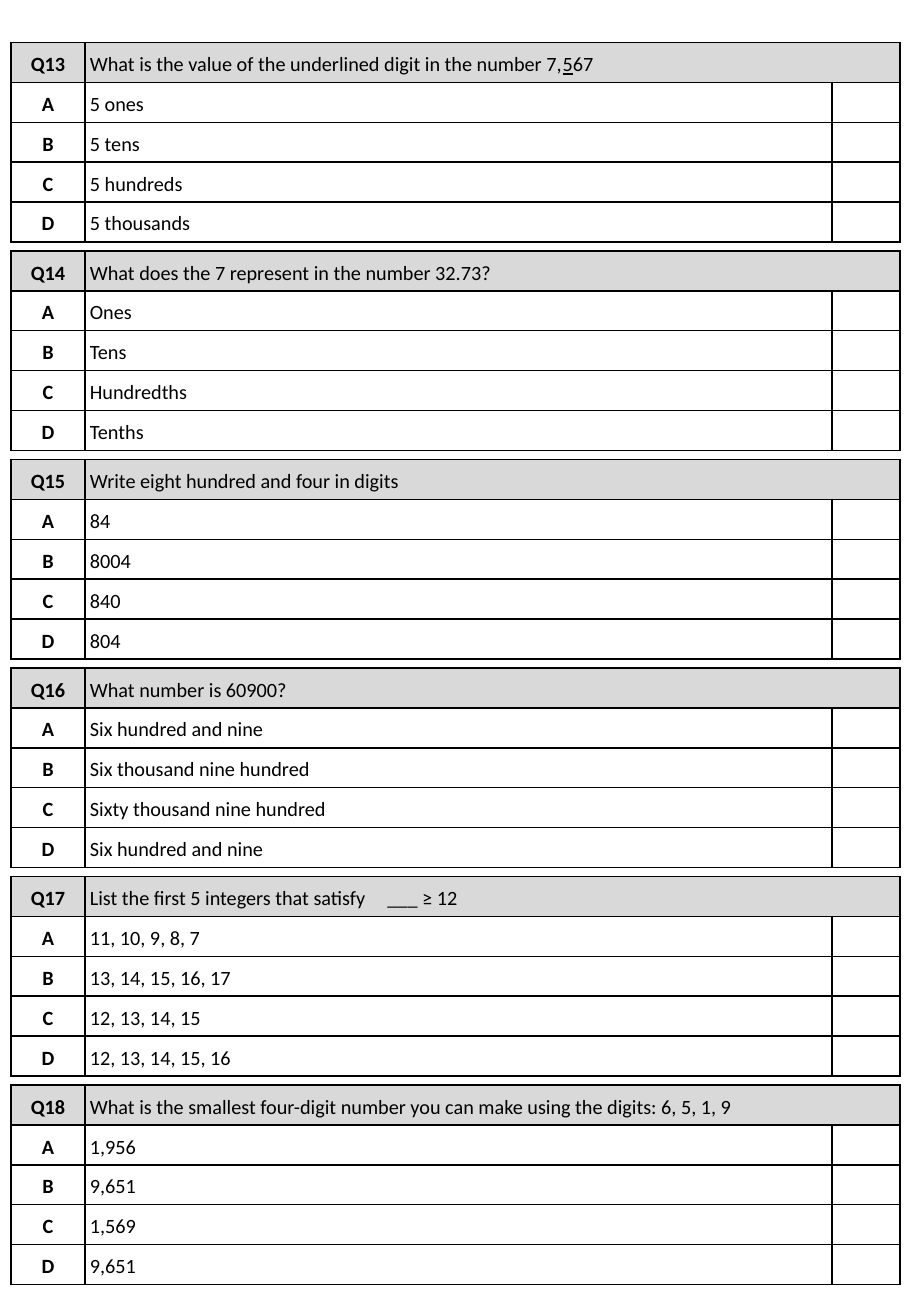
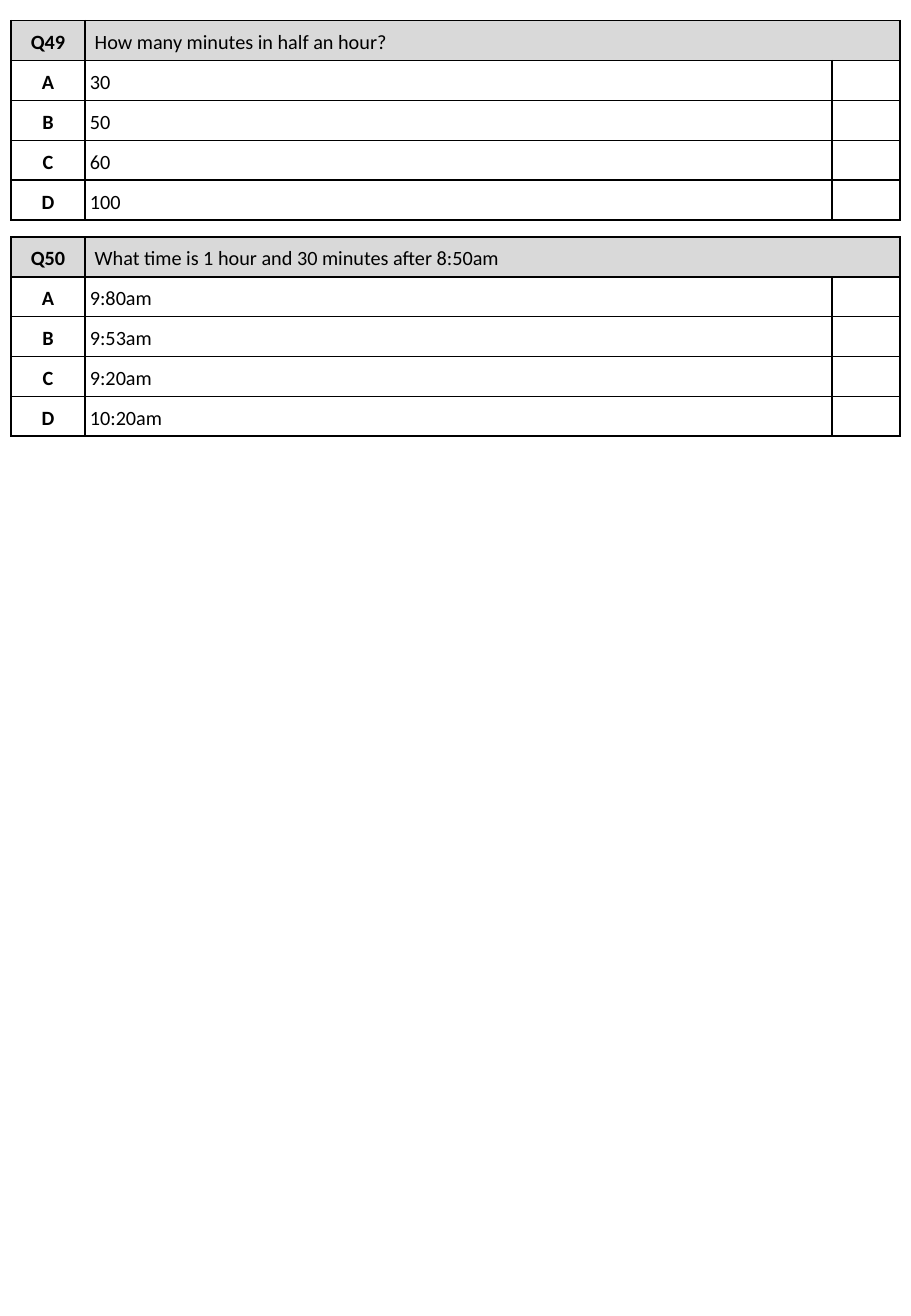
import pptx
import pptx.dml.color
import pptx.enum.text
import pptx.oxml.ns
import pptx.util
from lxml import etree

Inches = pptx.util.Inches
Pt = pptx.util.Pt
qn = pptx.oxml.ns.qn

BLACK = "000000"
GREY = "D9D9D9"
FONT = "Calibri"
COLUMN_WIDTHS = [0.61, 6.15, 0.56]
TABLE_LEFT = 0.09
TABLE_HEIGHT = 1.64
TEXT_INDENT = 0.04
TAB_STOP = 2.45

PAGES = [
    {
        "first_top": 0.35,
        "last_top": 8.93,
        "question_indent": TEXT_INDENT,
        "questions": [
            ("Q13", ["What is the value of the underlined digit in the number 7,", "5", "67"],
             ["5 ones", "5 tens", "5 hundreds", "5 thousands"]),
            ("Q14", ["What does the 7 represent in the number 32.73?"],
             ["Ones", "Tens", "Hundredths", "Tenths"]),
            ("Q15", ["Write eight hundred and four in digits"],
             ["84", "8004", "840", "804"]),
            ("Q16", ["What number is 60900?"],
             ["Six hundred and nine", "Six thousand nine hundred",
              "Sixty thousand nine hundred", "Six hundred and nine"]),
            ("Q17", ["List the first 5 integers that satisfy\t___ ≥ 12"],
             ["11, 10, 9, 8, 7", "13, 14, 15, 16, 17", "12, 13, 14, 15", "12, 13, 14, 15, 16"]),
            ("Q18", ["What is the smallest four-digit number you can make using the digits: 6, 5, 1, 9"],
             ["1,956", "9,651", "1,569", "9,651"]),
        ],
    },
    {
        "first_top": 0.17,
        "last_top": 1.95,
        "question_indent": 2 * TEXT_INDENT,
        "questions": [
            ("Q49", ["How many minutes in half an hour?"],
             ["30", "50", "60", "100"]),
            ("Q50", ["What time is 1 hour and 30 minutes after 8:50am"],
             ["9:80am", "9:53am", "9:20am", "10:20am"]),
        ],
    },
]


def color(value):
    return pptx.dml.color.RGBColor.from_string(value)


def format_cell(cell, texts, shaded, is_label, indent):
    properties = cell._tc.get_or_add_tcPr()
    for side in ("a:lnL", "a:lnR", "a:lnT", "a:lnB"):
        border = etree.SubElement(properties, qn(side), w=str(Pt(1)))
        border_fill = etree.SubElement(border, qn("a:solidFill"))
        etree.SubElement(border_fill, qn("a:srgbClr"), val=BLACK)
    if shaded:
        cell.fill.solid()
        cell.fill.fore_color.rgb = color(GREY)
    else:
        cell.fill.background()
    cell.vertical_anchor = pptx.enum.text.MSO_ANCHOR.MIDDLE
    cell.margin_left = Inches(indent)
    cell.margin_right = cell.margin_top = cell.margin_bottom = 0
    if not texts:
        return
    paragraph = cell.text_frame.paragraphs[0]
    paragraph.line_spacing = 1.18
    paragraph.space_after = Pt(6)
    if is_label:
        paragraph.alignment = pptx.enum.text.PP_ALIGN.CENTER
    if "\t" in texts[0]:
        tabs = etree.SubElement(paragraph._p.get_or_add_pPr(), qn("a:tabLst"))
        etree.SubElement(tabs, qn("a:tab"), pos=str(Inches(TAB_STOP)), algn="l")
    for index, text in enumerate(texts):
        run = paragraph.add_run()
        run.text = text
        run.font.name = FONT
        run.font.size = Pt(12)
        run.font.bold = is_label
        run.font.underline = index == 1
        run.font.color.rgb = color(BLACK)


presentation = pptx.Presentation()
presentation.slide_width = Inches(7.5)
presentation.slide_height = Inches(10.83)

for page in PAGES:
    slide = presentation.slides.add_slide(presentation.slide_layouts[6])
    questions = page["questions"]
    pitch = (page["last_top"] - page["first_top"]) / (len(questions) - 1)
    for position, (number, question, answers) in enumerate(questions):
        rows = [(number, question)] + [(letter, [answer]) for letter, answer in zip("ABCD", answers)]
        top = page["first_top"] + position * pitch
        table = slide.shapes.add_table(
            len(rows), len(COLUMN_WIDTHS), Inches(TABLE_LEFT), Inches(top),
            Inches(sum(COLUMN_WIDTHS)), Inches(TABLE_HEIGHT)).table
        table.first_row = False
        table.horz_banding = False
        for column, width in zip(table.columns, COLUMN_WIDTHS):
            column.width = Inches(width)
        for row_index, (label, texts) in enumerate(rows):
            is_question = row_index == 0
            indent = page["question_indent"] if is_question else TEXT_INDENT
            format_cell(table.cell(row_index, 0), [label], is_question, True, 0)
            format_cell(table.cell(row_index, 1), texts, is_question, False, indent)
            format_cell(table.cell(row_index, 2), [], is_question, False, 0)
        table.cell(0, 1).merge(table.cell(0, 2))

presentation.save("out.pptx")
